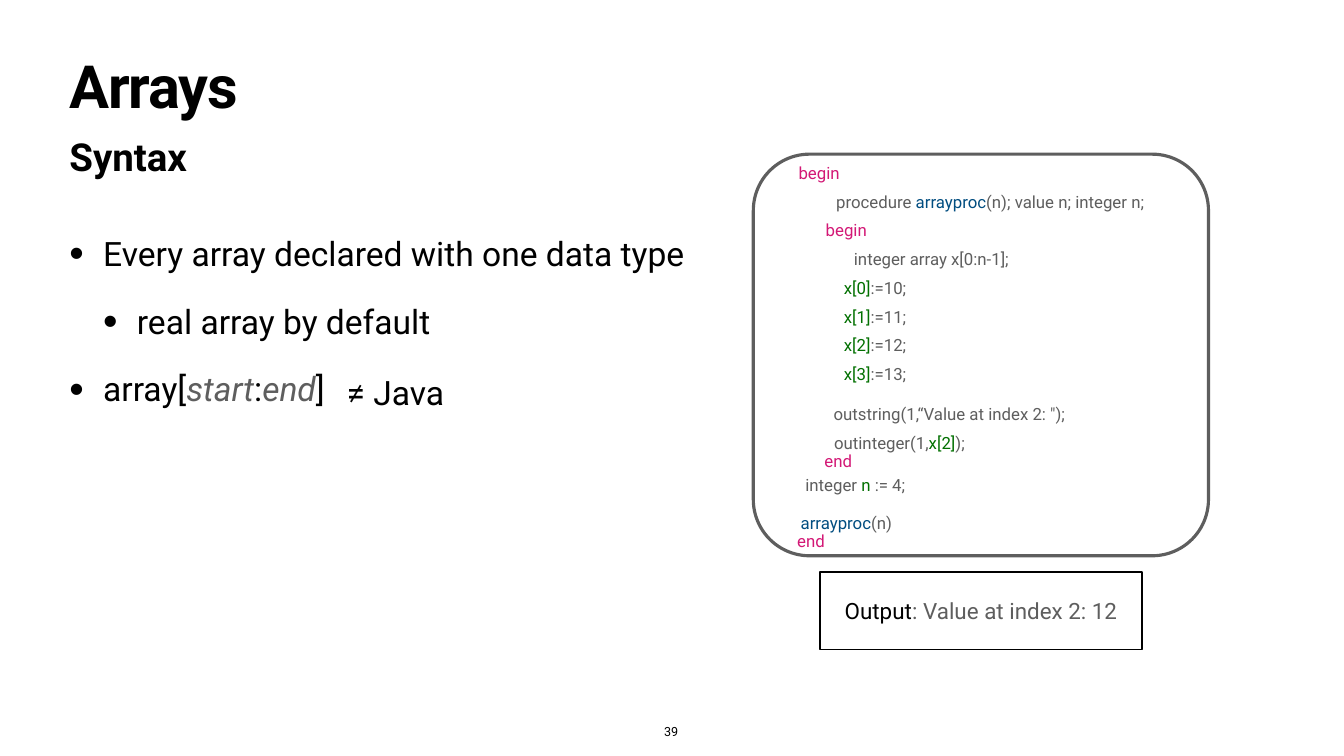
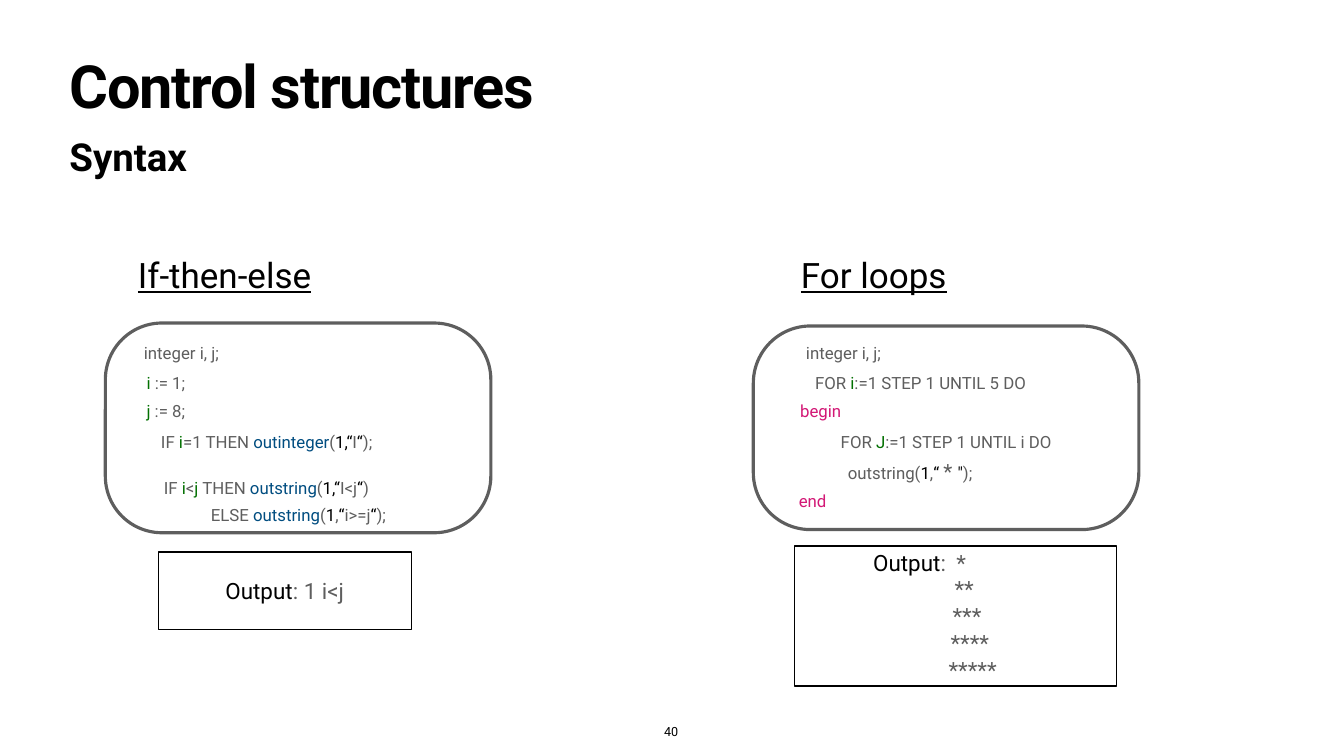
from lxml import etree
from pptx import Presentation
from pptx.dml.color import RGBColor
from pptx.enum.shapes import MSO_SHAPE
from pptx.enum.text import MSO_ANCHOR, MSO_AUTO_SIZE, PP_ALIGN
from pptx.oxml.ns import qn
from pptx.util import Cm, Pt

ROUND, RECT = MSO_SHAPE.ROUNDED_RECTANGLE, MSO_SHAPE.RECTANGLE
TOP, MIDDLE = MSO_ANCHOR.TOP, MSO_ANCHOR.MIDDLE
LEFT, CENTER = PP_ALIGN.LEFT, PP_ALIGN.CENTER
FIXED = MSO_AUTO_SIZE.NONE

FONT = "Roboto"
COLORS = {
    "gray": "5E5E5E",
    "black": "000000",
    "blue": "004D80",
    "green": "027001",
    "pink": "D31876",
    "var": "5E5E5E",
    "star": "5E5E5E",
}
STAR = 30
STEP = 1.45
INSET = 0.15
INDENT = 1.7

ARRAY = [
    (1.93, 0, 2.77, "~pink:begin~"),
    (2.59, 1, 18.69, "procedure ~blue:arrayproc~(n); value n; integer n;"),
    (3.3, 2, 2.77, "~pink:begin~"),
    (4.11, 3, 9.73, "integer array x[0:n-1];"),
    *[(4.14, 4 + i, 3.99, f"~green:x[{i}]~:={10 + i};") for i in range(4)],
    (3.91, 8.39, 11.94, "outstring(1,“Value at index 2: \");"),
    (3.91, 9.39, 6.91, "outinteger(1,~green:x[2]~);"),
    (3.3, 10, 1.96, "~pink:end~"),
    (1.98, 10.84, 6.32, "integer ~green:n~ := 4;"),
    (2.24, 12.18, 4.9, "~blue:arrayproc~(n)"),
    (1.93, 12.79, 1.96, "~pink:end~"),
]
BRANCH = [
    (1.37, 0, 4.93, "integer i, j;"),
    (1.73, 1.02, 2.64, "~green:i~ := 1;"),
    (1.73, 2.02, 2.64, "~green:j~ := 8;"),
    (1.63, 3.07, 13, "IF ~green:i~=1 THEN ~blue:outinteger~(~black:1,“~I~black:“~);"),
    (1.78, 4.7, 12.67,
     "IF ~green:i~<~green:j~ THEN ~blue:outstring~(~black:1,“~I<j~black:“~)"),
    (4.27, 5.63, 10.92,
     "ELSE ~blue:outstring~(~black:1~,~black:“~i>=j~black:“~);"),
]
LOOP = [
    (2.08, 0, 4.93, "integer i, j;"),
    (2.01, 1.02, 12.83, "FOR ~green:i~:=1 STEP 1 UNTIL 5 DO"),
    (2.01, 2.02, 2.77, "~pink:begin~"),
    (3.3, 3.07, 12.83, "FOR ~green:J~:=1 STEP 1 UNTIL i DO"),
    (4.04, 4.1, 7.72, "outstring(~black:1~,~black:“ ~~star:* ~~black:\"~);"),
    (2.01, 5.12, 1.96, "~pink:end~"),
]


def paint(run, size, key):
    """Give a run its font, size and colour."""
    run.font.name = FONT
    run.font.size = Pt(STAR if key == "star" else size)
    run.font.color.rgb = RGBColor.from_string(COLORS[key])
    run.font.italic = key == "var"


def write(par, text, size, base="gray"):
    """Write text in which ~key:word~ marks a word in another colour."""
    for i, part in enumerate(text.split("~")):
        key, word = part.split(":", 1) if i % 2 else (base, part)
        if word:
            run = par.add_run()
            run.text = word
            paint(run, size, key)


def fit(frame, anchor, wrap=True):
    """Set the insets and anchor of a text frame."""
    frame.auto_size = FIXED
    frame.word_wrap = wrap
    frame.vertical_anchor = anchor
    frame.margin_left = frame.margin_right = Cm(INSET)
    frame.margin_top = frame.margin_bottom = Cm(INSET)


def indent(par, left, first):
    """Set the left margin and first-line indent of a paragraph."""
    props = par._p.get_or_add_pPr()
    props.set("marL", str(Cm(left)))
    props.set("indent", str(Cm(first)))
    return props


def label(slide, box, text, size, base="gray"):
    """Add one line of text centred in its box."""
    frame = slide.shapes.add_textbox(*map(Cm, box)).text_frame
    fit(frame, MIDDLE, False)
    par = frame.paragraphs[0]
    par.alignment = CENTER
    write(par, text, size, base)
    return par


def panel(slide, kind, box, key, width):
    """Add an outlined box without fill."""
    shape = slide.shapes.add_shape(kind, *map(Cm, box))
    shape.shadow.inherit = False
    shape.fill.background()
    shape.line.color.rgb = RGBColor.from_string(COLORS[key])
    shape.line.width = Pt(width)
    fit(shape.text_frame, MIDDLE)
    return shape


def code(slide, box, curve, top, lines):
    """Add a rounded frame with its lines of code."""
    panel(slide, ROUND, box, "gray", 4.5).adjustments[0] = curve
    for x, row, width, text in lines:
        place = box[0] + x, box[1] + top + row * STEP, width, 1.4
        label(slide, place, text, 24)


def result(slide, box, text):
    """Add an output box with one centred line."""
    par = panel(slide, RECT, box, "black", 2).text_frame.paragraphs[0]
    par.alignment = CENTER
    write(par, "~black:Output~" + text, 32)


def stars(slide, box, count):
    """Add an output box with a growing triangle of stars."""
    frame = panel(slide, RECT, box, "black", 2).text_frame
    for i in range(count):
        par = frame.add_paragraph() if i else frame.paragraphs[0]
        par.alignment = LEFT
        indent(par, 8 - 0.1 * i, 0 if i else -4.2)
        write(par, "*" * (i + 1) if i else "~black:Output~:\t*", 32)


def place(shape, box):
    """Move a placeholder and clear its template layout."""
    shape.left, shape.top, shape.width, shape.height = map(Cm, box)
    fit(shape.text_frame, TOP)


def head(slide, title, number):
    """Fill the title, subtitle and page number."""
    name, sub = slide.shapes.title, slide.placeholders[1]
    place(name, (3.35, 3, 61.04, 3.99))
    place(sub, (3.35, 6.55, 29.44, 2.59))
    for shape, text, size in ((name, title, 85), (sub, "Syntax", 55)):
        shape.text_frame.text = text
        par = shape.text_frame.paragraphs[0]
        par.alignment = LEFT
        par.space_before = Pt(0)
        run = par.runs[0]
        paint(run, size, "black")
        run.font.bold = True
    name.text_frame.paragraphs[0].line_spacing = 0.8
    name.text_frame.paragraphs[0].runs[0].font._element.set("spc", "-170")
    props = indent(sub.text_frame.paragraphs[0], 0, 0)
    etree.SubElement(props, qn("a:buNone"))
    label(slide, (33.32, 36.35, 1.02, 1.04), str(number), 18, "black")


def bullets(shape, box, items):
    """Fill the list placeholder with bullets at their levels."""
    place(shape, box)
    frame = shape.text_frame
    for i, (level, text) in enumerate(items):
        par = frame.add_paragraph() if i else frame.paragraphs[0]
        par.level = level
        par.line_spacing = 0.9
        par.space_before = Pt(45)
        props = indent(par, INDENT * (level + 1), -INDENT)
        etree.SubElement(props, qn("a:buSzPct"), val="123000")
        etree.SubElement(props, qn("a:buChar"), char="•")
        write(par, text, 48, "black")


def arrays(deck):
    """Build the slide on arrays."""
    slide = deck.slides.add_slide(deck.slide_layouts[3])
    head(slide, "Arrays", 39)
    bullets(slide.placeholders[2], (3.35, 11.81, 32.33, 22.94), [
        (0, "Every array declared with one data type"),
        (1, "real array by default"),
        (0, "array[~var:start~:~var:end~]"),
    ])
    label(slide, (17.25, 18.62, 5.36, 2.24), "≠ Java", 48, "black")
    code(slide, (37.97, 7.77, 22.94, 20.24), 0.14, 0.23, ARRAY)
    result(slide, (41.33, 28.83, 16.23, 3.91), ": Value at index 2: 12")


def control(deck):
    """Build the slide on control structures."""
    slide = deck.slides.add_slide(deck.slide_layouts[1])
    head(slide, "Control structures", 40)
    for x, width, text in ((6.27, 10.11, "If-then-else"), (39.98, 8.13, "For loops")):
        par = label(slide, (x, 12.65, width, 2.39), text, 50, "black")
        par.runs[0].font.underline = True
    code(slide, (5.31, 16.28, 19.43, 10.57), 0.27, 0.81, BRANCH)
    result(slide, (7.98, 27.81, 12.75, 3.91), ": 1 i<j")
    code(slide, (37.97, 16.43, 19.43, 10.26), 0.28, 0.66, LOOP)
    stars(slide, (40.06, 27.51, 16.23, 7.06), 5)


def main():
    """Build and save the deck."""
    deck = Presentation()
    deck.slide_width, deck.slide_height = Cm(67.74), Cm(38.1)
    arrays(deck)
    control(deck)
    deck.save("out.pptx")


if __name__ == "__main__":
    main()
